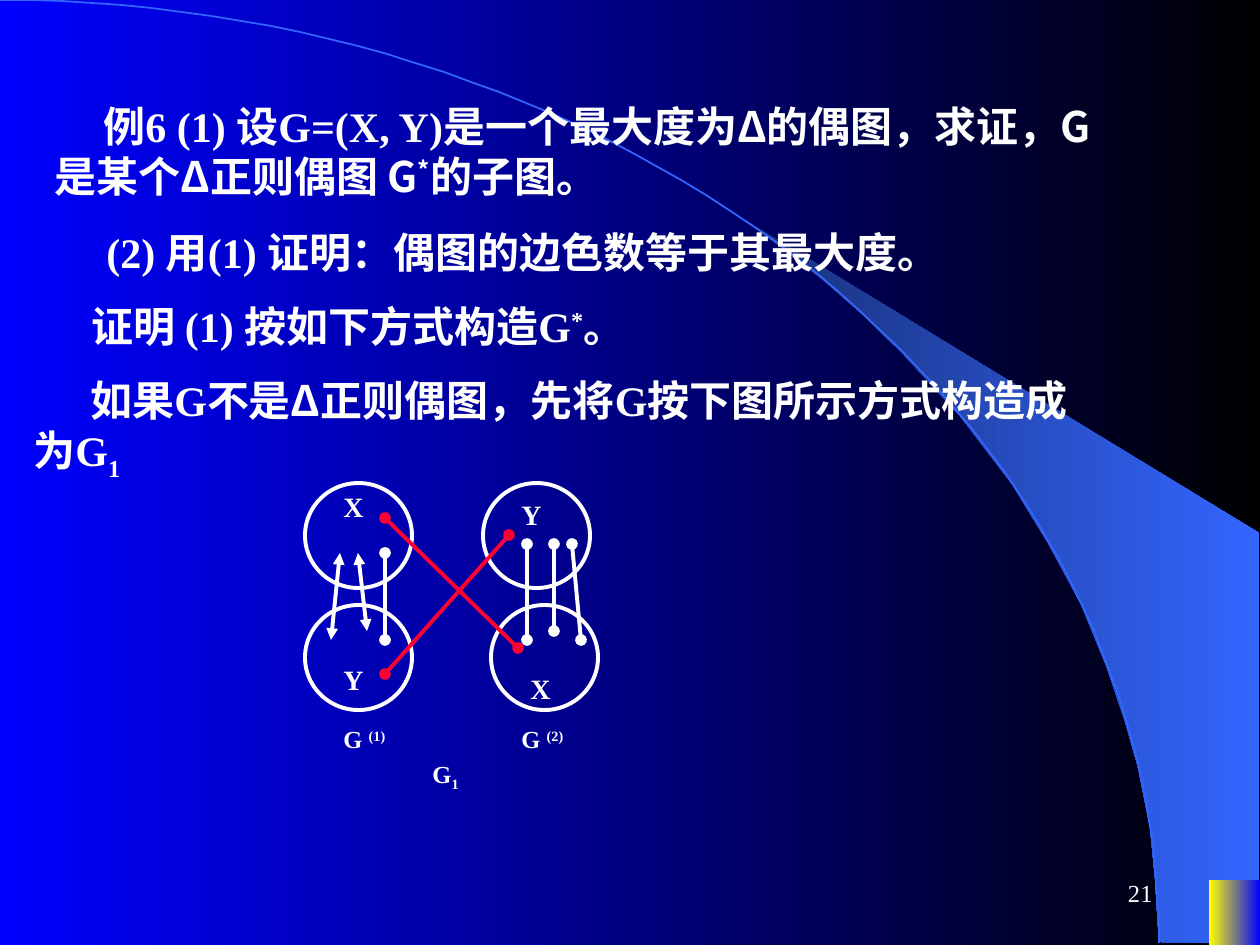
"""Build the slide on regular bipartite graphs and edge colouring."""
from math import cos, pi, sin
from lxml import etree
from pptx import Presentation
from pptx.dml.color import RGBColor
from pptx.enum.shapes import MSO_CONNECTOR, MSO_SHAPE
from pptx.enum.text import MSO_ANCHOR, MSO_AUTO_SIZE, PP_ALIGN
from pptx.oxml.ns import qn
from pptx.util import Pt

PX = 914400 / 126
WIDE, HIGH = 1260, 945
OVAL, RECT = MSO_SHAPE.OVAL, MSO_SHAPE.RECTANGLE
STRAIGHT = MSO_CONNECTOR.STRAIGHT
LEFT, RIGHT = PP_ALIGN.LEFT, PP_ALIGN.RIGHT
TOP, MIDDLE = MSO_ANCHOR.TOP, MSO_ANCHOR.MIDDLE
GROW = MSO_AUTO_SIZE.SHAPE_TO_FIT_TEXT

WHITE = RGBColor(0xFF, 0xFF, 0xFF)
BLACK = RGBColor(0, 0, 0)
BLUE = RGBColor(0, 0, 0xFF)
SKY = RGBColor(0x33, 0x66, 0xFF)
NAVY = RGBColor(0x18, 0x2F, 0x76)
YELLOW = RGBColor(0xFF, 0xFF, 0)
RED = RGBColor(0xFF, 0, 0x33)
SERIF, SANS = "Times New Roman", "Noto Sans CJK SC"
SUP, SUB = 30, -25

WEDGE = [(1159, 942), (1259, 943), (1259, 533), (742, 218), (786, 251),
         (823, 280), (863, 315), (902, 353), (960, 416), (1012, 484),
         (1048, 543), (1081, 604), (1106, 665), (1125, 721), (1138, 767),
         (1150, 827), (1155, 877), (1159, 942)]
ARC = (1159, 943)
STEPS = 60

BODY = [
    ((42, 94, 1092, 113), 49, [
        ("例6 (1) 设G=(X, Y)是一个最大度为", SERIF, 0),
        ("Δ的偶图，求证，G是某个Δ正则偶图 G", SANS, 0),
        ("*", SANS, SUP), ("的子图。", SANS, 0)]),
    ((31, 220, 1061, 63), 63, [
        ("(2) 用(1) 证明：偶图的边色数等于其最大度。", SERIF, 0)]),
    ((31, 294, 1092, 63), 48, [
        ("证明 (1) 按如下方式构造G", SERIF, 0),
        ("*", SERIF, SUP), ("。", SERIF, 0)]),
    ((21, 368, 1061, 121), 57, [
        ("如果G不是", SERIF, 0), ("Δ", SANS, 0),
        ("正则偶图，先将G按下图所示方式构造成为G", SERIF, 0),
        ("1", SERIF, SUB)]),
]
RINGS = [(305, 483), (491, 605), (305, 605), (483, 483)]
RING = (107, 105)
SETS = [("X", 518, 665), ("X", 331, 483), ("Y", 331, 656), ("Y", 509, 491)]
NAMES = [("G ", "(1)", SUP, 331, 718), ("G ", "(2)", SUP, 509, 718),
         ("G", "1", SUB, 420, 753)]
EDGES = [
    ((340, 553), (331, 640), WHITE, "triangle"),
    ((358, 553), (367, 631), WHITE, "triangle"),
    ((385, 553), (385, 640), WHITE, "oval"),
    ((527, 544), (527, 640), WHITE, "oval"),
    ((554, 544), (554, 631), WHITE, "oval"),
    ((572, 544), (581, 640), WHITE, "oval"),
    ((385, 518), (518, 648), RED, "oval"),
    ((509, 535), (385, 674), RED, "oval"),
]


def emu(*vals):
    return [round(val * PX) for val in vals]


def blend(fill, first, last):
    fill.gradient()
    fill.gradient_angle = 0
    for stop, tone in zip(fill.gradient_stops, (first, last)):
        stop.color.rgb = tone


def outline(shapes, dots, close):
    form = shapes.build_freeform(*dots[0], scale=PX)
    form.add_line_segments(dots[1:], close=close)
    shape = form.convert_to_shape()
    shape.shadow.inherit = False
    return shape


def write(shapes, box, runs, size, bold=True, indent=0, align=LEFT,
          anchor=TOP, fit=GROW):
    frame = shapes.add_textbox(*emu(*box)).text_frame
    frame.word_wrap, frame.auto_size = True, fit
    frame.vertical_anchor = anchor
    para = frame.paragraphs[0]
    para.alignment = align
    if indent:
        props = para._p.get_or_add_pPr()
        props.set("marL", "0")
        props.set("indent", str(*emu(indent)))
    font = para.font
    font.size, font.bold, font.name = Pt(size), bold, SERIF
    font.color.rgb = WHITE
    etree.SubElement(font._element, qn("a:ea"), typeface=SANS)
    for text, face, base in runs:
        run = para.add_run()
        run.text = text
        if face != SERIF:
            run.font.name = face
        if base:
            run.font._element.set("baseline", str(base * 1000))


def join(shapes, start, end, tone, tip):
    line = shapes.add_connector(STRAIGHT, *emu(*start, *end))
    line.line.color.rgb, line.line.width = tone, Pt(2.25)
    stroke = line.line._get_or_add_ln()
    for tag in ("a:headEnd", "a:tailEnd"):
        etree.SubElement(stroke, qn(tag), type=tip)
    etree.SubElement(line._element.spPr, qn("a:effectLst"))


def scene(slide):
    shapes = slide.shapes
    blend(slide.background.fill, BLUE, BLACK)
    wedge = outline(shapes, WEDGE, True)
    blend(wedge.fill, NAVY, SKY)
    wedge.line.fill.background()
    turns = [pi / 2 * step / STEPS for step in range(STEPS + 1)]
    arc = outline(shapes, [(ARC[0] * sin(t), ARC[1] * (1 - cos(t)))
                           for t in turns], False)
    arc.fill.background()
    arc.line.color.rgb, arc.line.width = SKY, Pt(1)
    block = shapes.add_shape(RECT, *emu(1209, 880, 51, 65))
    block.shadow.inherit = False
    blend(block.fill, YELLOW, BLUE)
    block.line.fill.background()


def graph(shapes):
    for spot in RINGS:
        ring = shapes.add_shape(OVAL, *emu(*spot, *RING))
        ring.shadow.inherit = False
        ring.fill.background()
        ring.line.color.rgb, ring.line.width = WHITE, Pt(2.25)
    for name, left, top in SETS:
        write(shapes, (left, top, 55, 47), [(name, SERIF, 0)], 16)
    for edge in EDGES:
        join(shapes, *edge)
    for name, mark, base, left, top in NAMES:
        write(shapes, (left, top, 72, 43),
              [(name, SERIF, 0), (mark, SERIF, base)], 14)


def main():
    deck = Presentation()
    deck.slide_width, deck.slide_height = emu(WIDE, HIGH)
    slide = deck.slides.add_slide(deck.slide_layouts[6])
    scene(slide)
    write(slide.shapes, (903, 861, 262, 63), [("21", SERIF, 0)], 14,
          bold=False, align=RIGHT, anchor=MIDDLE, fit=MSO_AUTO_SIZE.NONE)
    for box, indent, runs in BODY:
        write(slide.shapes, box, runs, 24, indent=indent)
    graph(slide.shapes)
    deck.save("out.pptx")


if __name__ == "__main__":
    main()
